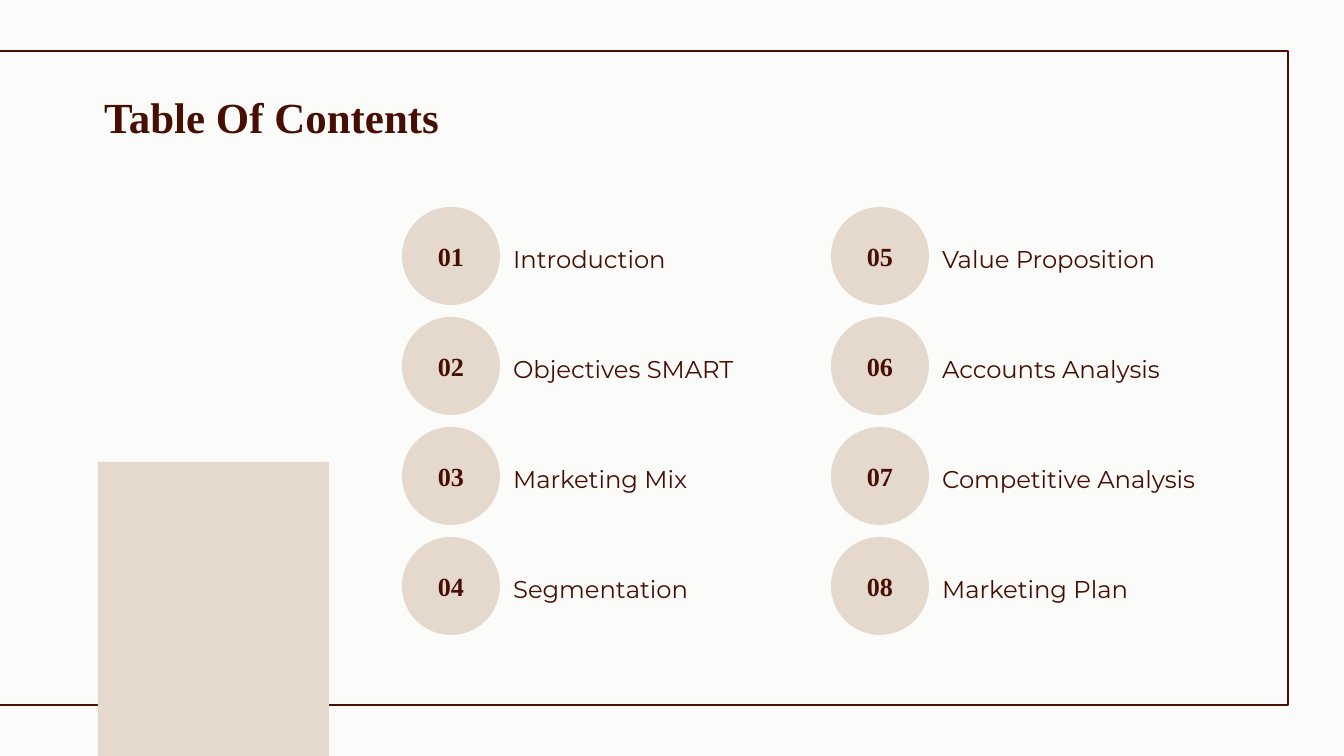
"""Build the table of contents slide: a framed page with two columns of numbered topics."""
import pptx
import pptx.dml.color
import pptx.enum.shapes
import pptx.enum.text
import pptx.util

TITLE = "Table Of Contents"
COLUMNS = [
    [("Introduction", 202), ("Objectives SMART", 251), ("Marketing Mix", 251), ("Segmentation", 202)],
    [("Value Proposition", 251), ("Accounts Analysis", 251), ("Competitive Analysis", 285), ("Marketing Plan", 285)],
]
THEME = {
    "paper": "FBFBFA", "ink": "470F03", "sand": "E5D9CD",
    "serif": "Times New Roman", "sans": "Montserrat",
    "title": 23, "number": 14, "label": 13, "line": 0.75,
}
PX = 914400 / 134.4
SLIDE = (1344, 756)
FRAME = (-21, 51, 1309, 654)
PANEL = (98, 462, 231, 305)
TITLE_BOX = (91, 77, 454, 85)
LEFT, TOP, CIRCLE = 402, 207, 98
COLUMN_STEP, ROW_STEP = 429, 110
LABEL_DROP, LABEL_HEIGHT = 24, 51
INSET = pptx.util.Inches(0.1)
SHAPE = pptx.enum.shapes.MSO_SHAPE
ALIGN = pptx.enum.text.PP_ALIGN
ANCHOR = pptx.enum.text.MSO_ANCHOR


def px(*values):
    return [pptx.util.Emu(round(v * PX)) for v in values]


def color(name):
    return pptx.dml.color.RGBColor.from_string(THEME[name])


def add_shape(s, kind, box, fill=None, line=None):
    sp = s.shapes.add_shape(kind, *px(*box))
    sp.shadow.inherit = False
    if fill:
        sp.fill.solid()
        sp.fill.fore_color.rgb = color(fill)
    else:
        sp.fill.background()
    if line:
        sp.line.color.rgb = color(line)
        sp.line.width = pptx.util.Pt(THEME["line"])
    else:
        sp.line.fill.background()
    return sp


def set_text(sp, text, size, face, bold=False, align=ALIGN.LEFT, anchor=ANCHOR.TOP):
    tf = sp.text_frame
    tf.text = text
    tf.word_wrap = True
    tf.vertical_anchor = anchor
    tf.margin_left = tf.margin_top = tf.margin_right = tf.margin_bottom = INSET
    p = tf.paragraphs[0]
    p.alignment = align
    font = p.runs[0].font
    font.name = THEME[face]
    font.size = pptx.util.Pt(THEME[size])
    font.bold = bold
    font.color.rgb = color("ink")


def add_topic(s, number, label, width, x, y):
    circle = add_shape(s, SHAPE.OVAL, (x, y, CIRCLE, CIRCLE), fill="sand")
    set_text(circle, f"{number:02d}", "number", "serif", True, ALIGN.CENTER, ANCHOR.MIDDLE)
    box = s.shapes.add_textbox(*px(x + CIRCLE, y + LABEL_DROP, width, LABEL_HEIGHT))
    set_text(box, label, "label", "sans")


def main():
    prs = pptx.Presentation()
    prs.slide_width, prs.slide_height = px(*SLIDE)
    s = prs.slides.add_slide(prs.slide_layouts[6])
    s.background.fill.solid()
    s.background.fill.fore_color.rgb = color("paper")
    add_shape(s, SHAPE.RECTANGLE, FRAME, line="ink")
    add_shape(s, SHAPE.RECTANGLE, PANEL, fill="sand")
    set_text(s.shapes.add_textbox(*px(*TITLE_BOX)), TITLE, "title", "serif", True)
    number = 0
    for col, topics in enumerate(COLUMNS):
        for row, (label, width) in enumerate(topics):
            number += 1
            add_topic(s, number, label, width, LEFT + col * COLUMN_STEP, TOP + row * ROW_STEP)
    prs.save("out.pptx")


if __name__ == "__main__":
    main()
